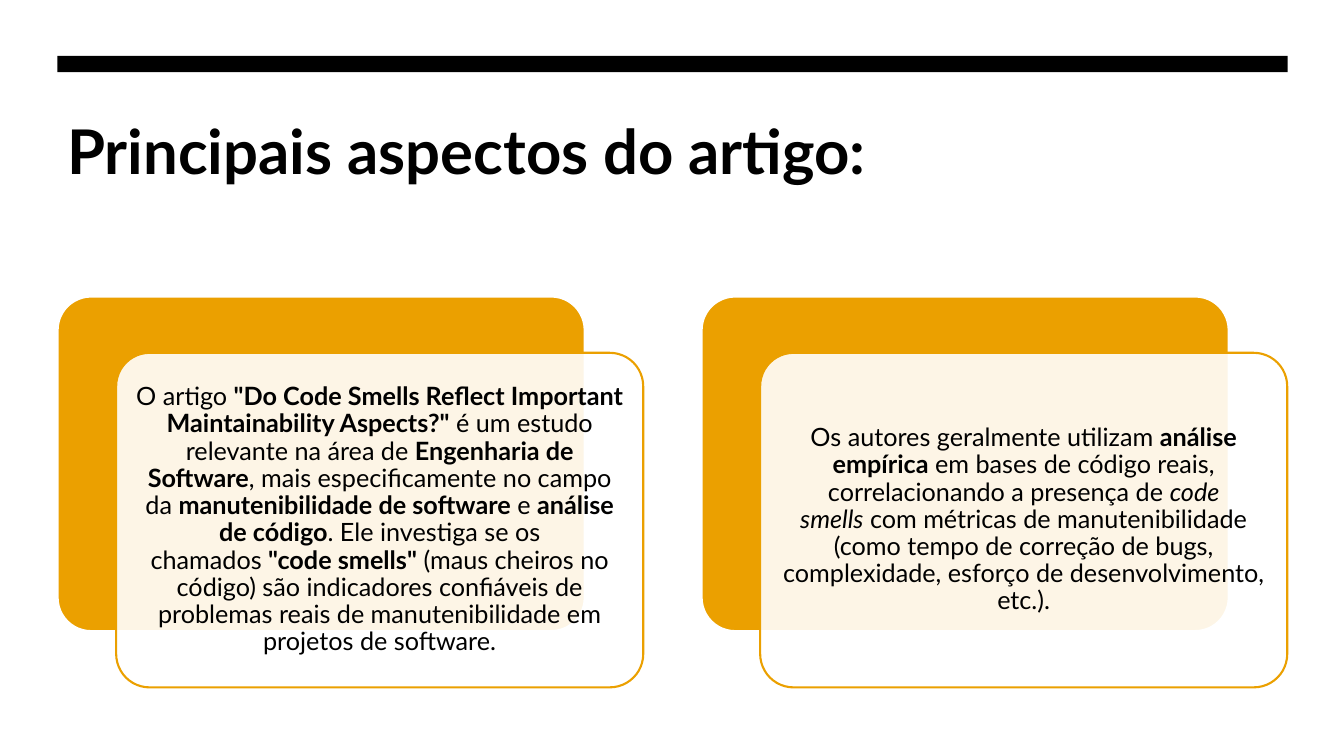
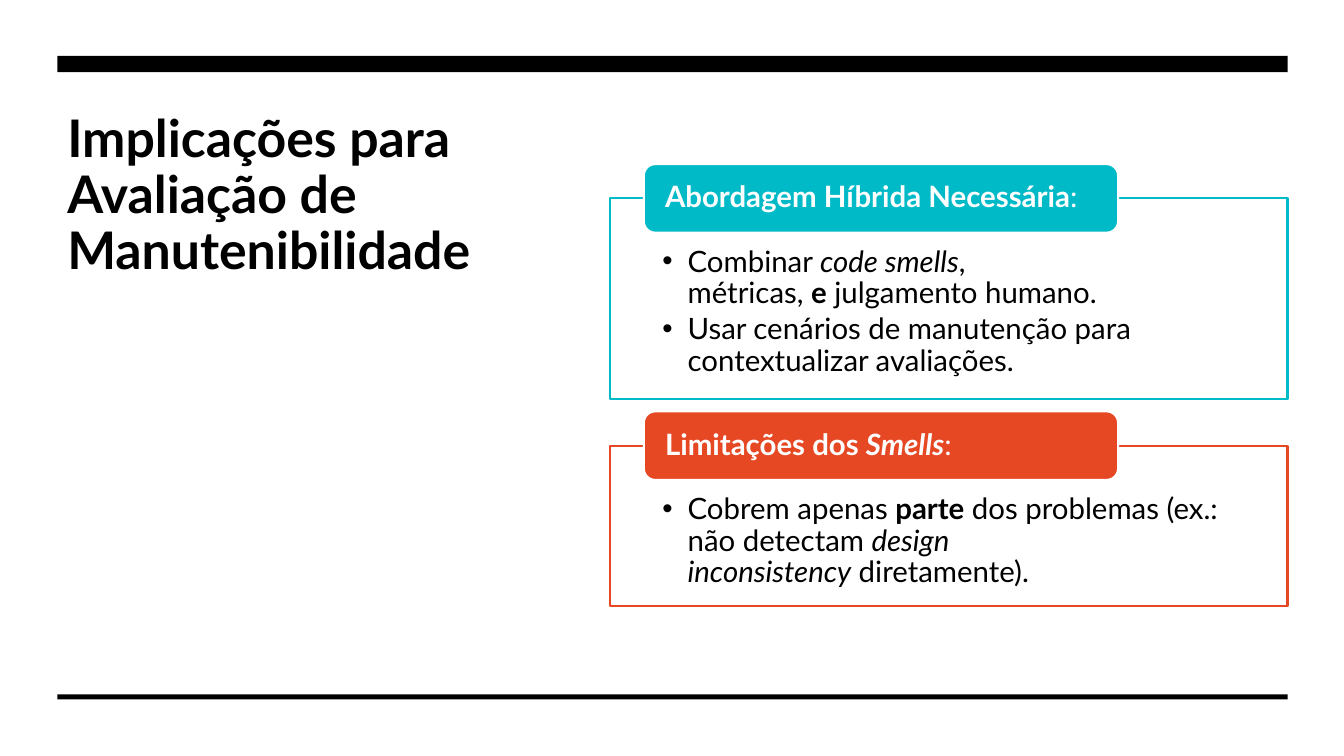
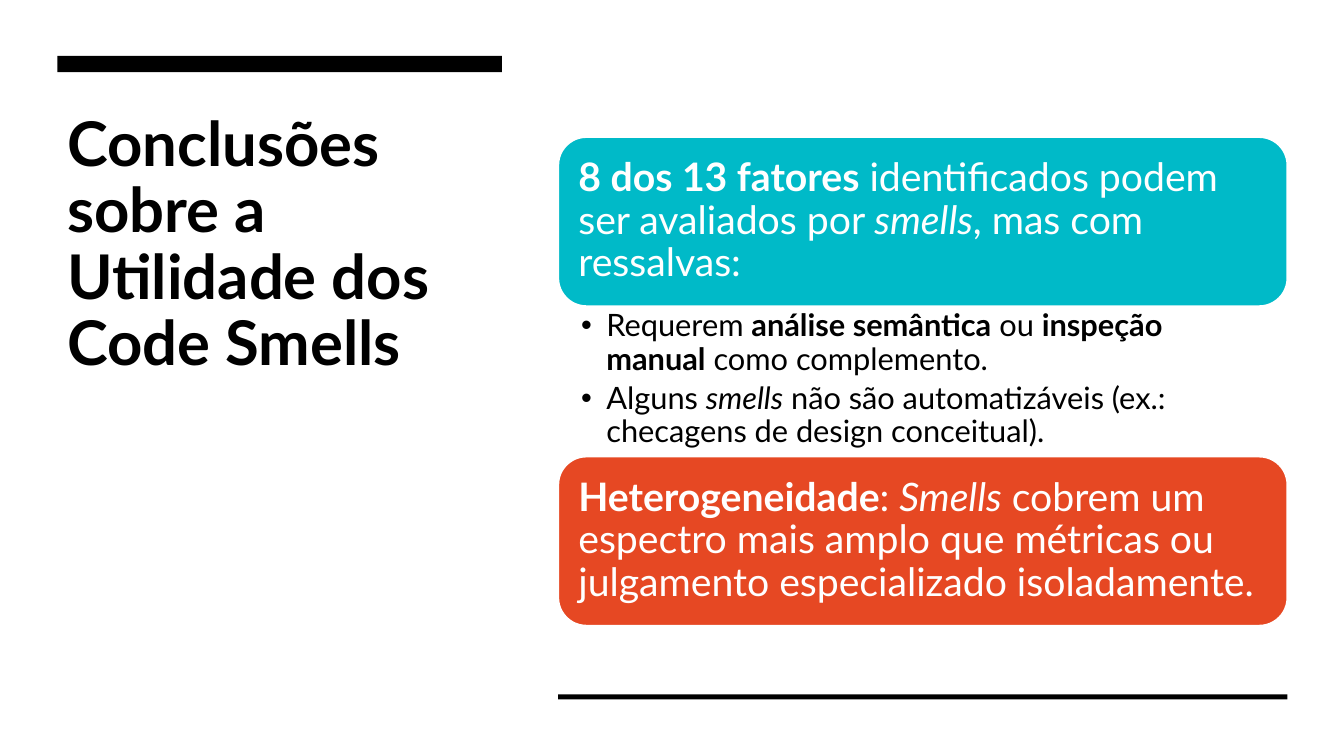
from lxml.etree import SubElement as sub
from pptx import Presentation as Deck
from pptx.dml.color import RGBColor as Rgb
from pptx.enum.shapes import MSO_SHAPE as Kind
from pptx.enum.text import MSO_ANCHOR as Anchor, PP_ALIGN as Align
from pptx.oxml.ns import qn
from pptx.util import Pt

HUE = {"ink": "000000", "paper": "FFFFFF", "gold": "EBA000",
       "teal": "00BAC8", "red": "E64823"}
FONT = "Lato"
HARD = chr(160)
PAGE = (960, 540)
LEFT, RIGHT = 41, 919.7
WIDE = RIGHT - LEFT


def tint(name):
    return Rgb.from_string(HUE[name])


def write(shape, *lines, size=18, color="ink", bold=False, align=Align.LEFT,
          anchor=Anchor.TOP, pad=(7.2, 3.6, 7.2, 3.6), pitch=0.9, after=0,
          bullet=False):
    frame = shape.text_frame
    frame.word_wrap = True
    frame.vertical_anchor = anchor
    (frame.margin_left, frame.margin_top,
     frame.margin_right, frame.margin_bottom) = map(Pt, pad)
    for row, line in enumerate(lines):
        para = frame.add_paragraph() if row else frame.paragraphs[0]
        para.alignment = align
        para.line_spacing = pitch
        para.space_after = Pt(after)
        if bullet:
            props = para._p.get_or_add_pPr()
            props.set("marL", str(Pt(18)))
            props.set("indent", str(-Pt(18)))
            sub(props, qn("a:buFont"), typeface="Arial")
            sub(props, qn("a:buChar"), char="•")
        for odd, part in enumerate(line.replace("~", HARD).split("*")):
            for lean, bit in enumerate(part.split("_")):
                if bit:
                    run = para.add_run()
                    run.text = bit
                    font = run.font
                    font.name, font.size = FONT, Pt(size)
                    font.bold = bold or odd % 2 == 1
                    font.italic = lean % 2 == 1
                    font.color.rgb = tint(color)


def block(slide, box, fill, line=None, kind=Kind.RECTANGLE, round=None,
          alpha=None):
    shape = slide.shapes.add_shape(kind, *map(Pt, box))
    shape.shadow.inherit = False
    shape.fill.solid()
    shape.fill.fore_color.rgb = tint(fill)
    if alpha:
        color = shape._element.spPr.find(qn("a:solidFill"))[0]
        sub(color, qn("a:alpha"), val=str(alpha * 1000))
    if line:
        shape.line.color.rgb = tint(line)
        shape.line.width = Pt(1.5)
    else:
        shape.line.fill.background()
    if round:
        shape.adjustments[0] = round
    return shape


def label(slide, box, *lines, **style):
    write(slide.shapes.add_textbox(*map(Pt, box)), *lines, **style)


def start(deck, title, box, size=44, pitch=0.9, top=WIDE, foot=None):
    slide = deck.slides.add_slide(deck.slide_layouts[6])
    block(slide, (0, 0, *PAGE), "paper")
    label(slide, box, title, size=size, pitch=pitch, bold=True)
    block(slide, (LEFT, 40, top, 11.5), "ink")
    if foot:
        block(slide, (RIGHT - foot, 496, foot, 3.6), "ink")
    return slide


def card(slide, box, text):
    x, y, w, h = box
    look = dict(kind=Kind.ROUNDED_RECTANGLE, round=0.1)
    block(slide, box, "gold", "paper", **look)
    front = block(slide, (x + 41.8, y + 40.2, w, h), "paper", "gold", alpha=90,
                  **look)
    write(front, text, align=Align.CENTER, anchor=Anchor.MIDDLE, pad=(5,) * 4)


def panel(slide, box, color, head, lines):
    x, y, w, h = box
    body = block(slide, box, "paper", color, alpha=90)
    write(body, *lines, size=21, pad=(37.5, 34.5, 37.5, 11.5), after=3,
          bullet=True)
    tab = block(slide, (x + 24.2, y - 24.5, w * 0.7, 49), color, "paper",
                Kind.ROUNDED_RECTANGLE)
    write(tab, head, size=21, color="paper", anchor=Anchor.MIDDLE,
          pad=(12.8, 0, 12.8, 0))


def banner(slide, box, color, text):
    shape = block(slide, box, color, "paper", Kind.ROUNDED_RECTANGLE)
    write(shape, text, size=28, color="paper", anchor=Anchor.MIDDLE,
          pad=(8.6,) * 4)


def aspects(deck):
    slide = start(deck, "Principais aspectos do artigo:",
                  (LEFT, 77, WIDE, 115), pitch=1)
    texts = [
        'O artigo~*"Do Code Smells Reflect Important Maintainability Aspects?"*'
        '~é um estudo relevante na área de~*Engenharia de Software*, mais'
        ' especificamente no campo da~*manutenibilidade de software*~e~'
        '*análise de código*. Ele investiga se os chamados~*"code smells"*'
        '~(maus cheiros no código) são indicadores confiáveis de problemas'
        ' reais de manutenibilidade em projetos de software.',
        'Os autores geralmente utilizam~*análise empírica*~em bases de código'
        ' reais, correlacionando a presença de~_code smells_~com métricas de'
        ' manutenibilidade (como tempo de correção de bugs, complexidade,'
        ' esforço de desenvolvimento, etc.).',
    ]
    for col, text in enumerate(texts):
        card(slide, (LEFT + 0.2 + col * 460, 211.8, 376.5, 239), text)


def effects(deck):
    slide = start(deck, "Implicações para Avaliação de Manutenibilidade",
                  (LEFT, 77, 338, 265), size=37, foot=WIDE)
    panels = [
        ("teal", 143.5, "*Abordagem Híbrida Necessária*:",
         ["Combinar~_code smells_, métricas,~*e*~julgamento humano.",
          "Usar cenários de manutenção para contextualizar avaliações."]),
        ("red", 114.7, "*Limitações dos~_Smells_*:",
         ["Cobrem apenas~*parte*~dos problemas (ex.: não detectam~"
          "_design inconsistency_~diretamente)."]),
    ]
    wide, y = 484, 141.7
    for color, high, head, lines in panels:
        panel(slide, (RIGHT - wide, y, wide, high), color, head, lines)
        y += high + 33.1


def closing(deck):
    wide, high, gap, y = 521, 121, 107.2, 97.8
    x = RIGHT - wide
    slide = start(deck, "Conclusões sobre a Utilidade dos Code Smells",
                  (LEFT, 77.2, 317.5, 265), top=317.5, foot=wide)
    banner(slide, (x, y, wide, high), "teal",
           "*8 dos 13 fatores*~identificados podem ser avaliados por~_smells_"
           ", mas com ressalvas:")
    label(slide, (x, y + high, wide, gap),
          "Requerem~*análise semântica*~ou~*inspeção manual*~como complemento.",
          "Alguns~_smells_~não são automatizáveis (ex.: checagens de design"
          " conceitual).",
          size=22, pad=(16.5, 2.8, 16, 2.8), after=4.4, bullet=True)
    banner(slide, (x, y + high + gap, wide, high), "red",
           "*Heterogeneidade*:~_Smells_~cobrem um espectro mais amplo que"
           " métricas ou julgamento especializado isoladamente.")


def main():
    deck = Deck()
    deck.slide_width, deck.slide_height = map(Pt, PAGE)
    for build in (aspects, effects, closing):
        build(deck)
    deck.save("out.pptx")


if __name__ == "__main__":
    main()
